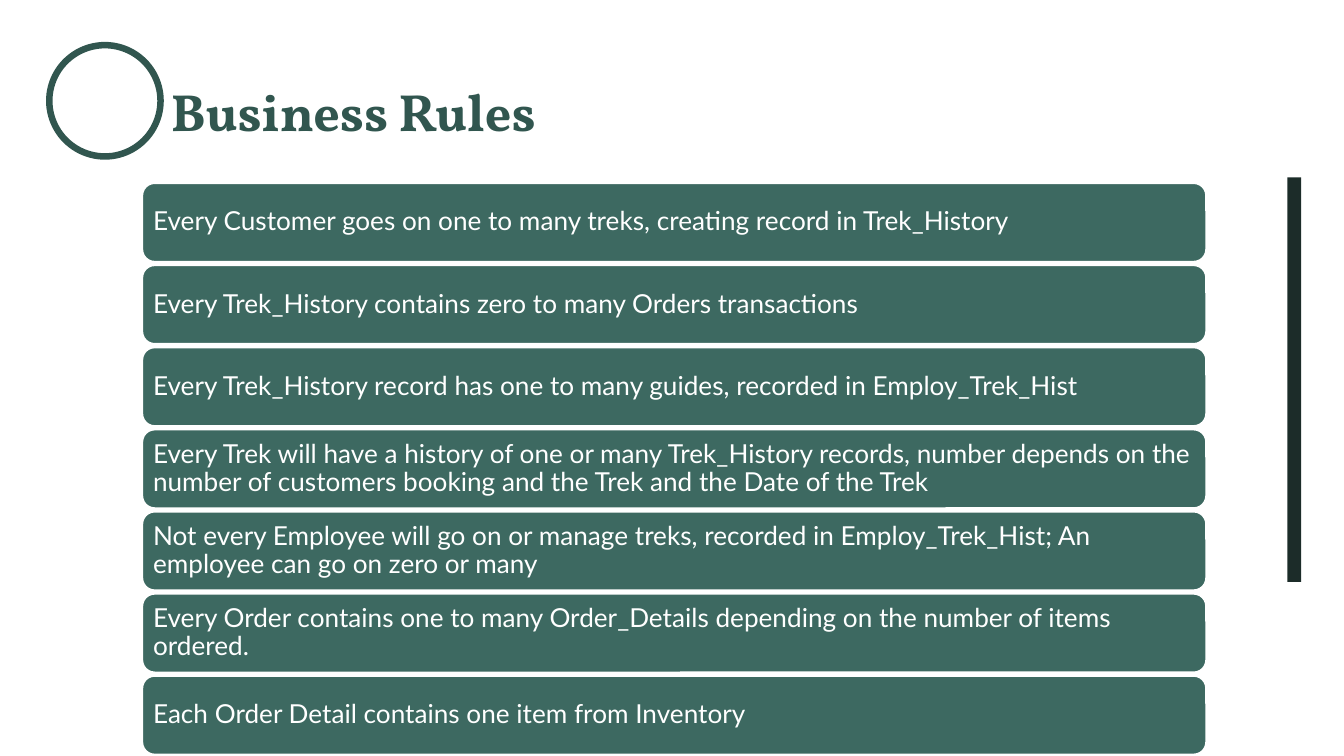
from pptx import Presentation
from pptx.dml.color import RGBColor
from pptx.enum.shapes import MSO_SHAPE
from pptx.enum.text import MSO_ANCHOR, MSO_AUTO_SIZE, PP_ALIGN
from pptx.util import Pt

COLORS = {"pine": "31564F", "moss": "3D6961", "dark": "1C2C29", "white": "FFFFFF"}

RULES = [
    "Every Customer goes on one to many treks, creating record in Trek_History",
    "Every Trek_History contains zero to many Orders transactions",
    "Every Trek_History record has one to many guides, recorded in Employ_Trek_Hist",
    "Every Trek will have a history of one or many Trek_History records, number depends "
    "on the number of customers booking and the Trek and the Date of the Trek",
    "Not every Employee will go on or manage treks, recorded in Employ_Trek_Hist; "
    "An employee can go on zero or many",
    "Every Order contains one to many Order_Details depending on the number of items ordered.",
    "Each Order Detail contains one item from Inventory",
]

TITLE = {"name": "Vollkorn", "size": Pt(28), "bold": True}
BODY = {"name": "Lato", "size": Pt(14), "bold": False}


def color(key):
    return RGBColor.from_string(COLORS[key])


def style(shape, fill=None, line=None, width=0):
    shape.shadow.inherit = False
    if fill:
        shape.fill.solid()
        shape.fill.fore_color.rgb = color(fill)
    else:
        shape.fill.background()
    if line:
        shape.line.color.rgb = color(line)
        shape.line.width = Pt(width)
    else:
        shape.line.fill.background()


def write(shape, text, form, ink, inset, anchor):
    frame = shape.text_frame
    frame.text = text
    setup = {"word_wrap": True, "auto_size": MSO_AUTO_SIZE.NONE,
             "vertical_anchor": anchor}
    for side in ("left", "top", "right", "bottom"):
        setup[f"margin_{side}"] = Pt(inset)
    for key, value in setup.items():
        setattr(frame, key, value)
    para = frame.paragraphs[0]
    para.alignment = PP_ALIGN.LEFT
    font = para.runs[0].font
    for key, value in form.items():
        setattr(font, key, value)
    font.color.rgb = color(ink)
    return para


def add_box(slide, kind, left, top, width, height):
    return slide.shapes.add_shape(kind, Pt(left), Pt(top), Pt(width), Pt(height))


def add_title(slide, text):
    title = slide.shapes.title
    place = {"left": 84.4, "top": 35.3, "width": 286, "height": 42}
    for key, value in place.items():
        setattr(title, key, Pt(value))
    write(title, text, TITLE, "pine", 7.2, MSO_ANCHOR.TOP)


def add_rule(slide, row, text):
    box = add_box(slide, MSO_SHAPE.ROUNDED_RECTANGLE, 75.7, 97.6 + 44 * row, 571, 43.2)
    style(box, "moss", "white", 2)
    para = write(box, text, BODY, "white", 4.2, MSO_ANCHOR.MIDDLE)
    para.line_spacing = 0.9


def main():
    deck = Presentation()
    deck.slide_width, deck.slide_height = Pt(720), Pt(405)
    slide = deck.slides.add_slide(deck.slide_layouts[5])

    # Plain ring, side bar and title
    ring = add_box(slide, MSO_SHAPE.OVAL, 26.4, 24.2, 59.6, 59.6)
    style(ring, line="pine", width=3.5)
    bar = add_box(slide, MSO_SHAPE.RECTANGLE, 689.6, 95, 7.4, 216.8)
    style(bar, "dark")
    add_title(slide, "Business Rules")

    # Stack of rules
    for row, text in enumerate(RULES):
        add_rule(slide, row, text)

    deck.save("out.pptx")


if __name__ == "__main__":
    main()
